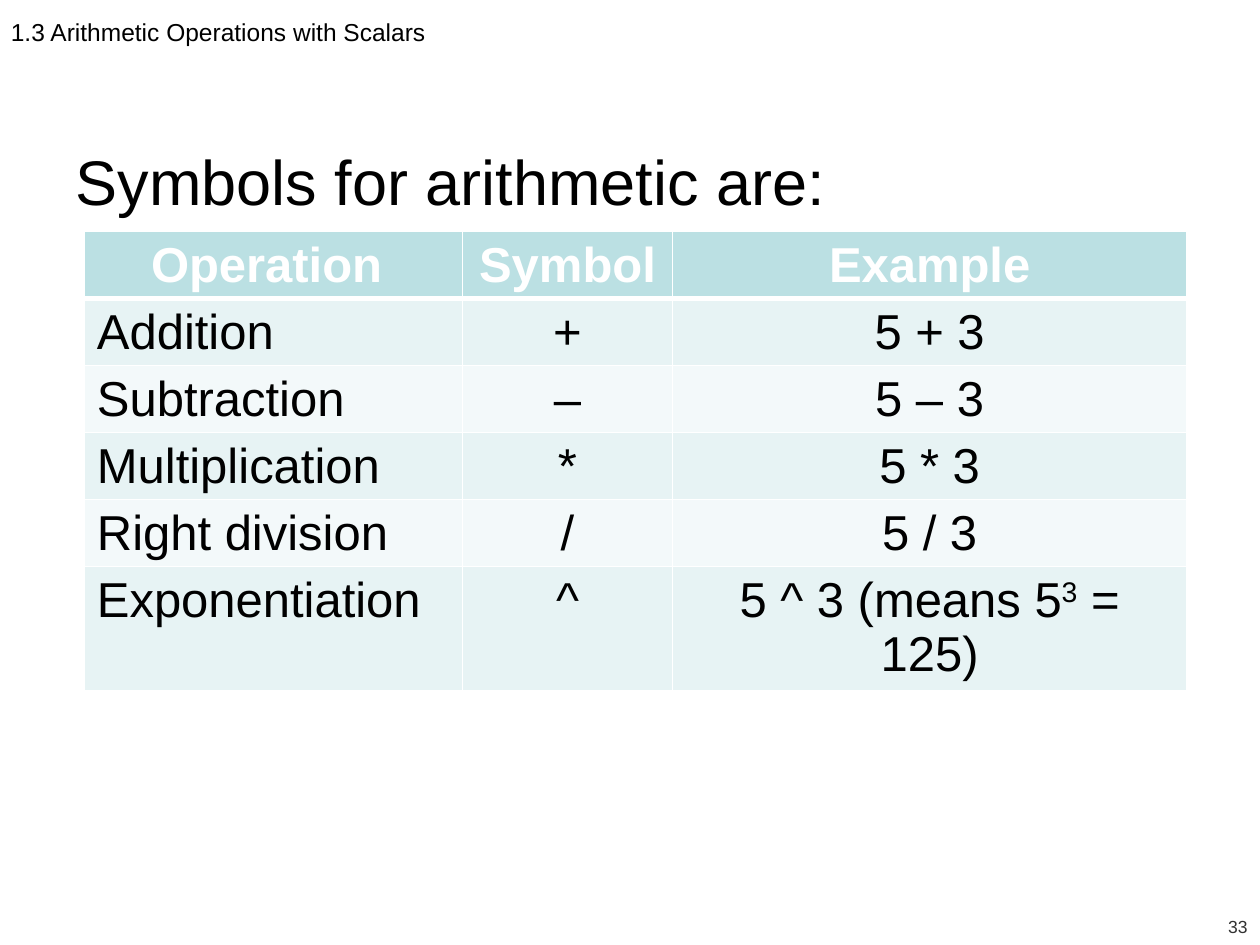
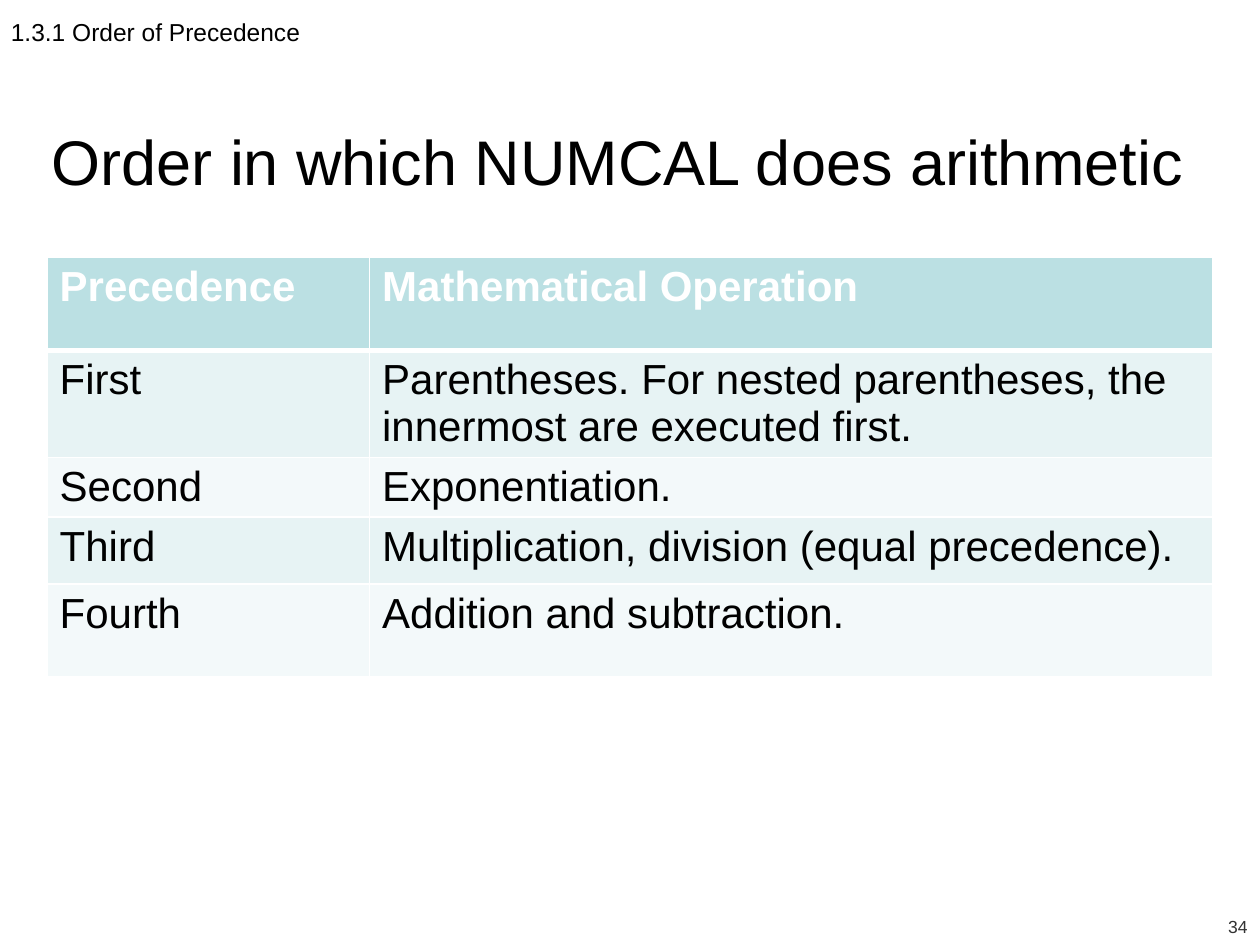
from lxml import etree
from pptx import Presentation
from pptx.dml.color import RGBColor
from pptx.enum.text import MSO_ANCHOR, PP_ALIGN
from pptx.oxml.ns import qn
from pptx.util import Cm, Pt

LEFT, MID, RIGHT = PP_ALIGN.LEFT, PP_ALIGN.CENTER, PP_ALIGN.RIGHT
TOP = MSO_ANCHOR.TOP
BLACK = RGBColor(0x00, 0x00, 0x00)
WHITE = RGBColor(0xFF, 0xFF, 0xFF)
GRAY = RGBColor(0x32, 0x32, 0x32)
TEAL = RGBColor(0xBB, 0xE0, 0xE3)
BANDS = [RGBColor(0xF3, 0xF9, 0xFA), RGBColor(0xE7, 0xF3, 0xF4)]
FONT = "Arial"

# Box: left, top, width, height in cm; text between bars is raised
SLIDES = [
    dict(
        topic="1.3 Arithmetic Operations with Scalars", wide=8.53,
        title="Symbols for arithmetic are:", box=(0.97, 2.74, 23.5, 14.17),
        page="33", spot=(1.7, 4.67), size=28, align=MID,
        cols=[7.62, 4.24, 10.36], heights=[1.35] * 5 + [2.43],
        rows=[
            ("Operation ", "Symbol ", "Example"),
            ("Addition", "+", "5 + 3"),
            ("Subtraction", "–", "5 – 3"),
            ("Multiplication", "*", "5 * 3"),
            ("Right division", "/", "5 / 3"),
            ("Exponentiation", "^", "5 ^ 3 (means 5|3| = 125)"),
        ],
    ),
    dict(
        topic="1.3.1 Order of Precedence", wide=6.32,
        title="Order in which NUMCAL does arithmetic",
        box=(0.48, 2.34, 24.43, 14.4),
        page="34", spot=(0.95, 5.18), size=24, align=LEFT,
        cols=[6.5, 17], heights=[1.88, 2.12, 1.2, 1.35, 1.88],
        rows=[
            ("Precedence", "Mathematical Operation"),
            ("First", "Parentheses. For nested parentheses, "
                      "the innermost are executed first."),
            ("Second", "Exponentiation."),
            ("Third", "Multiplication, division (equal precedence)."),
            ("Fourth", "Addition and subtraction."),
        ],
    ),
]


def write(frame, text, size, color=BLACK, bold=False, align=LEFT, before=0):
    """Fill a text frame; every second piece between bars is superscript."""
    para = frame.paragraphs[0]
    para.alignment = align
    para.space_before = Pt(before)
    for i, piece in enumerate(text.split("|")):
        run = para.add_run()
        run.text = piece
        run.font.name = FONT
        run.font.size = Pt(size)
        run.font.bold = bold
        run.font.color.rgb = color
        if i % 2:
            run._r.get_or_add_rPr().set("baseline", "30000")


def border(cell, **sides):
    """Draw white cell borders, given widths in points by side."""
    props = cell._tc.get_or_add_tcPr()
    for side, width in sides.items():
        line = etree.SubElement(props, qn("a:ln" + side), w=str(Pt(width)))
        fill = etree.SubElement(line, qn("a:solidFill"))
        etree.SubElement(fill, qn("a:srgbClr"), val=str(WHITE))


prs = Presentation()
prs.slide_width, prs.slide_height = Cm(25.4), Cm(19.05)

for data in SLIDES:
    slide = prs.slides.add_slide(prs.slide_layouts[5])

    title = slide.shapes.title
    title.left, title.top, title.width, title.height = map(Cm, data["box"])
    frame = title.text_frame
    frame.word_wrap = True
    frame.vertical_anchor = TOP
    frame.margin_left = Cm(0.56)
    write(frame, data["title"], 36, before=4)

    topic = slide.shapes.add_textbox(Cm(0.22), Cm(0.22), Cm(data["wide"]), Cm(0.8))
    frame = topic.text_frame
    frame.word_wrap = False
    frame.margin_left = frame.margin_right = 0
    write(frame, data["topic"], 14, before=2.8)

    page = slide.shapes.add_textbox(Cm(24.05), Cm(18.34), Cm(1.35), Cm(0.66))
    page.text_frame.word_wrap = True
    write(page.text_frame, data["page"], 10, color=GRAY, align=RIGHT)

    rows, cols, heights = data["rows"], data["cols"], data["heights"]
    left, top = data["spot"]
    grid = slide.shapes.add_table(
        len(rows), len(cols), Cm(left), Cm(top), Cm(sum(cols)), Cm(sum(heights))
    ).table
    for col, width in zip(grid.columns, cols):
        col.width = Cm(width)
    for r, row in enumerate(rows):
        grid.rows[r].height = Cm(heights[r])
        head = r == 0
        for c, text in enumerate(row):
            cell = grid.cell(r, c)
            cell.margin_bottom = 0
            border(cell, L=1, R=1, T=3 if r == 1 else 1, B=3 if head else 1)
            cell.fill.solid()
            cell.fill.fore_color.rgb = TEAL if head else BANDS[r % 2]
            write(cell.text_frame, text, data["size"],
                  color=WHITE if head else BLACK, bold=head,
                  align=data["align"] if head or c else LEFT)

prs.save("out.pptx")
